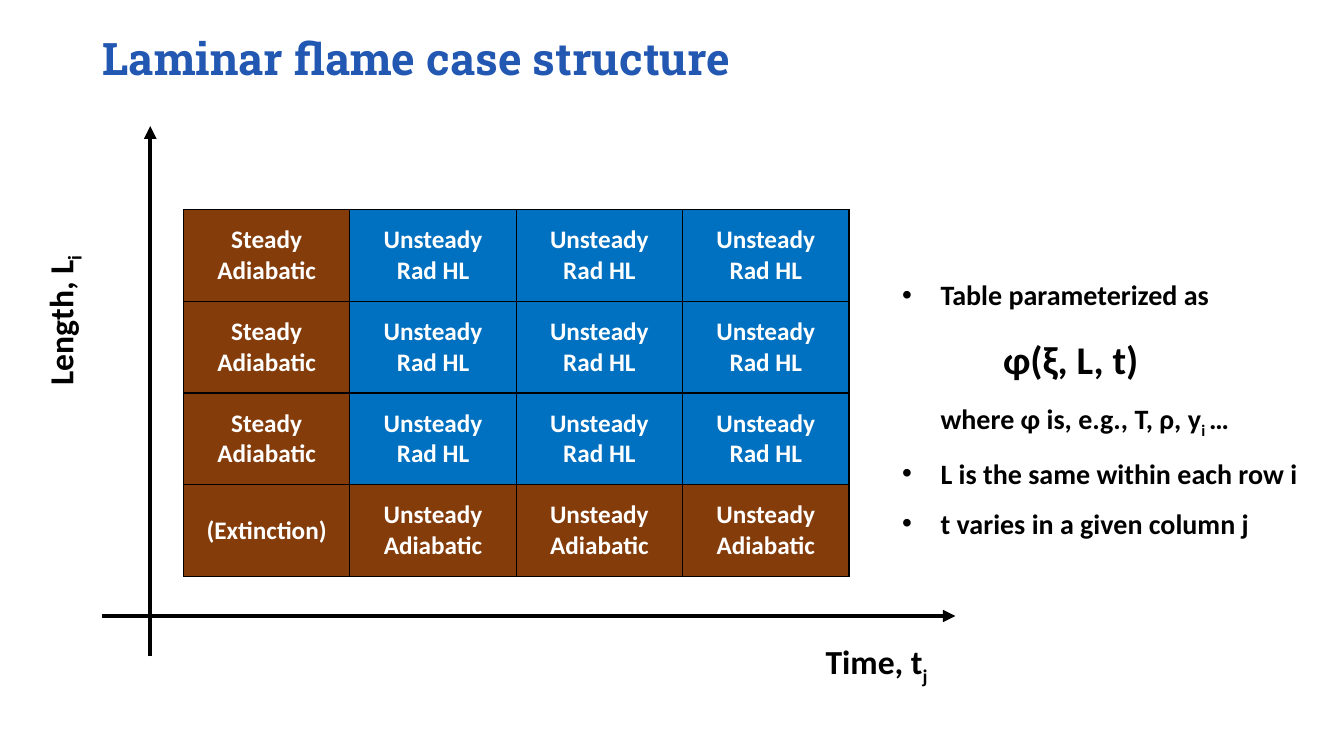
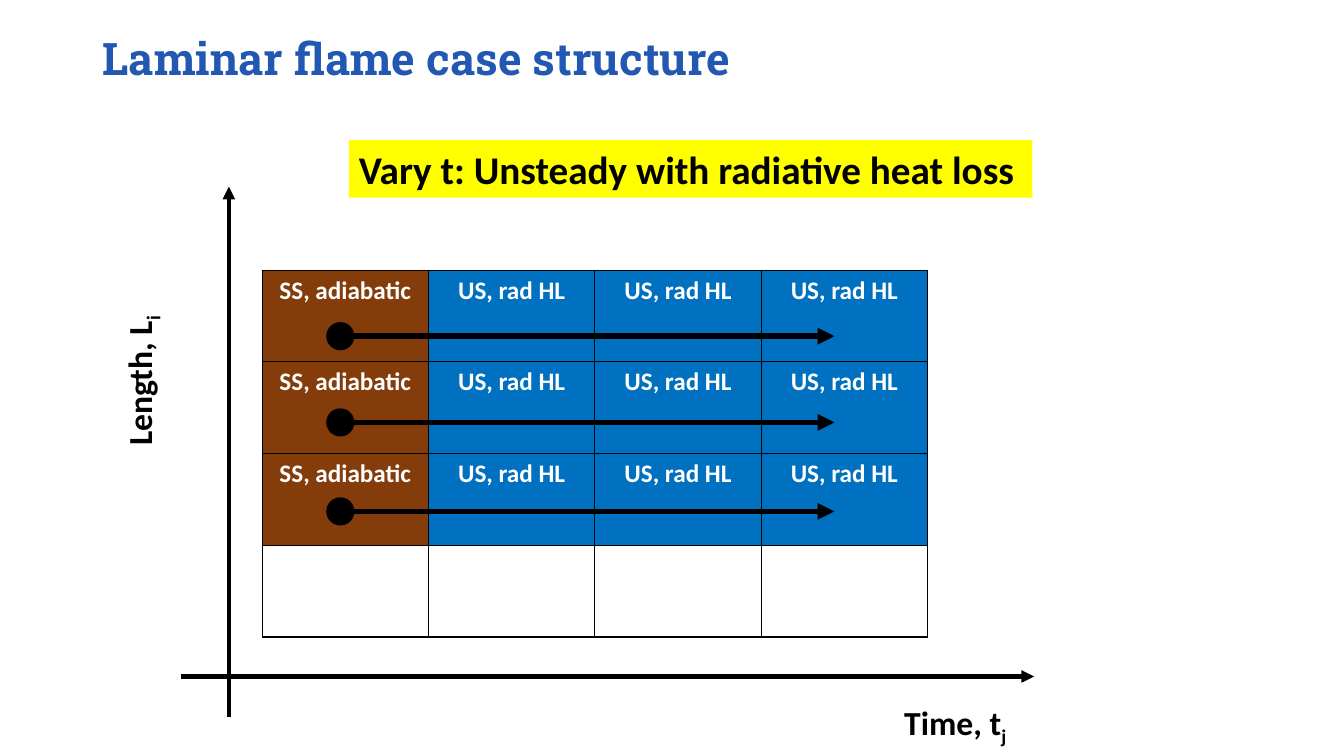
from dataclasses import dataclass

import pptx
import pptx.dml.color
import pptx.enum.shapes
import pptx.enum.text
import pptx.oxml.ns
import pptx.util
from lxml import etree

Inches, Pt = pptx.util.Inches, pptx.util.Pt
Shape = pptx.enum.shapes.MSO_SHAPE
Anchor = pptx.enum.text.MSO_ANCHOR
Align = pptx.enum.text.PP_ALIGN
qn = pptx.oxml.ns.qn

WIDTH, HEIGHT = 13.33, 7.5
COLUMN, ROW = 1.65, 0.91
COLUMNS, ROWS = 4, 4
BODY_FONT, TITLE_FONT = "Calibri", "Roboto Slab"
BLACK, WHITE, TITLE_BLUE = "000000", "FFFFFF", "2258B2"
ADIABATIC, RADIATIVE, HIGHLIGHT = "843C0B", "0070C0", "FFFF00"
INDENT = 0.38

STEADY = ("Steady\nAdiabatic", ADIABATIC)
UNSTEADY = ("Unsteady\nRad HL", RADIATIVE)
UNSTEADY_ADIABATIC = ("Unsteady\nAdiabatic", ADIABATIC)
CASE_TYPES = [[STEADY] + [UNSTEADY] * 3] * 3 + [
    [("(Extinction)", ADIABATIC)] + [UNSTEADY_ADIABATIC] * 3]
TIME_SWEEPS = [[("SS, adiabatic", ADIABATIC)] + [("US, rad HL", RADIATIVE)] * 3] * 3 + [
    [("", None)] * COLUMNS]


@dataclass
class Grid:
    """Place of the case table; positions are counted in its columns and rows."""
    left: float
    top: float

    def x(self, columns):
        return Inches(self.left + columns * COLUMN)

    def y(self, rows):
        return Inches(self.top + rows * ROW)


def color(hex_code):
    return pptx.dml.color.RGBColor.from_string(hex_code)


def set_font(paragraph, size, hex_code=BLACK, name=BODY_FONT):
    font = paragraph.font
    font.name, font.size, font.bold = name, Pt(size), True
    font.color.rgb = color(hex_code)


def add_runs(paragraph, parts):
    """Add the parts in turn, every second one as a subscript."""
    for index, part in enumerate(parts):
        run = paragraph.add_run()
        run.text = part
        if index % 2:
            run._r.get_or_add_rPr().set("baseline", "-25000")


def add_text_box(slide, left, top, width, height, wrap=True):
    box = slide.shapes.add_textbox(left, top, width, height)
    box.text_frame.word_wrap = wrap
    return box


def add_title(slide, text):
    frame = add_text_box(slide, Inches(0.92), Inches(0.3),
                         Inches(8.87), Inches(0.61)).text_frame
    frame.vertical_anchor = Anchor.MIDDLE
    title = frame.paragraphs[0]
    title.line_spacing = 0.9
    add_runs(title, [text])
    set_font(title, 32, TITLE_BLUE, TITLE_FONT)


def add_arrow(shapes, start, end, weight):
    arrow = shapes.add_connector(pptx.enum.shapes.MSO_CONNECTOR.STRAIGHT, *start, *end)
    arrow.line.color.rgb = color(BLACK)
    arrow.line.width = Pt(weight)
    etree.SubElement(arrow.line._get_or_add_ln(), qn("a:tailEnd"), type="triangle")
    etree.SubElement(arrow._element.spPr, qn("a:effectLst"))


def add_filled_shape(shapes, kind, left, top, width, height, fill):
    shape = shapes.add_shape(kind, left, top, width, height)
    shape.shadow.inherit = False
    shape.fill.solid()
    shape.fill.fore_color.rgb = color(fill)
    shape.line.fill.background()
    return shape


def add_axis_label(slide, left, top, width, parts, rotation=0):
    label = add_text_box(slide, left, top, Inches(width), Inches(0.5), wrap=False)
    label.rotation = rotation
    paragraph = label.text_frame.paragraphs[0]
    add_runs(paragraph, parts)
    set_font(paragraph, 24)


def add_axes(slide, grid):
    add_arrow(slide.shapes, (grid.x(-0.2), grid.y(4.87)), (grid.x(-0.2), grid.y(-0.91)), 3)
    add_arrow(slide.shapes, (grid.x(-0.49), grid.y(4.43)), (grid.x(4.64), grid.y(4.43)), 3)
    add_axis_label(slide, grid.x(3.8), grid.y(4.65), 1.26, ["Time, t", "j"])
    add_axis_label(slide, grid.x(-1.2), grid.y(0.92), 1.51, ["Length, L", "i"], 270)


def add_cell_borders(cell):
    properties = cell._tc.get_or_add_tcPr()
    for side in ("lnL", "lnR", "lnT", "lnB"):
        border = etree.SubElement(properties, qn(f"a:{side}"), w=str(Pt(1)))
        fill = etree.SubElement(border, qn("a:solidFill"))
        etree.SubElement(fill, qn("a:srgbClr"), val=BLACK)


def fill_cell(cell, text, fill, anchor):
    add_cell_borders(cell)
    cell.vertical_anchor = anchor
    if fill is None:
        cell.fill.background()
    else:
        cell.fill.solid()
        cell.fill.fore_color.rgb = color(fill)
    cell.text = text
    for paragraph in cell.text_frame.paragraphs:
        paragraph.alignment = Align.CENTER
        set_font(paragraph, 18, WHITE)


def add_case_table(slide, grid, cases, anchor):
    table = slide.shapes.add_table(ROWS, COLUMNS, grid.x(0), grid.y(0),
                                   Inches(COLUMNS * COLUMN), Inches(ROWS * ROW)).table
    table.first_row = table.horz_banding = False
    for column in table.columns:
        column.width = Inches(COLUMN)
    for row, row_cases in enumerate(cases):
        table.rows[row].height = Inches(ROW)
        for column, (text, fill) in enumerate(row_cases):
            fill_cell(table.cell(row, column), text, fill, anchor)


def add_note(paragraph, parts, size=20, margin=INDENT, bullet=False):
    paragraph.line_spacing = 1.5
    properties = paragraph._p.get_or_add_pPr()
    properties.set("marL", str(Inches(margin)))
    if bullet:
        properties.set("indent", str(-Inches(margin)))
        etree.SubElement(properties, qn("a:buFont"), typeface="Arial")
        etree.SubElement(properties, qn("a:buChar"), char="•")
    add_runs(paragraph, parts)
    set_font(paragraph, size)


def add_notes(slide):
    frame = add_text_box(slide, Inches(8.85), Inches(2.54),
                         Inches(WIDTH - 8.85), Inches(2.78)).text_frame
    add_note(frame.paragraphs[0], ["Table parameterized as"], bullet=True)
    add_note(frame.add_paragraph(), ["φ(ξ, L, t)"], size=28, margin=1)
    add_note(frame.add_paragraph(), ["where φ is, e.g., T, ρ, y", "i ", "…"])
    for text in ("L is the same within each row i", "t varies in a given column j"):
        add_note(frame.add_paragraph(), [text], bullet=True)


def add_banner(slide, text):
    banner = add_filled_shape(slide.shapes, Shape.RECTANGLE, Inches(3.46), Inches(1.39),
                              Inches(6.78), Inches(0.57), HIGHLIGHT)
    frame = banner.text_frame
    frame.word_wrap = False
    frame.vertical_anchor = Anchor.TOP
    paragraph = frame.paragraphs[0]
    paragraph.alignment = Align.LEFT
    add_runs(paragraph, [text])
    set_font(paragraph, 28)


def add_sweep(slide, grid, row):
    """Add a dot in the steady case and an arrow along its row."""
    shapes = slide.shapes.add_group_shape().shapes
    size, middle = Inches(0.28), grid.y(row)
    start = add_filled_shape(shapes, Shape.OVAL, grid.x(0.47) - size // 2,
                             middle - size // 2, size, size, BLACK)
    add_arrow(shapes, (start.left + size, middle), (grid.x(3.44), middle), 4)


def add_case_slide(deck, grid, cases, anchor):
    slide = deck.slides.add_slide(deck.slide_layouts[6])
    add_title(slide, "Laminar flame case structure")
    add_case_table(slide, grid, cases, anchor)
    add_axes(slide, grid)
    return slide


def main():
    deck = pptx.Presentation()
    deck.slide_width, deck.slide_height = Inches(WIDTH), Inches(HEIGHT)

    overview = add_case_slide(deck, Grid(1.82, 2.08), CASE_TYPES, Anchor.MIDDLE)
    add_notes(overview)

    sweep_grid = Grid(2.6, 2.68)
    sweeps = add_case_slide(deck, sweep_grid, TIME_SWEEPS, Anchor.TOP)
    add_banner(sweeps, "Vary t: Unsteady with radiative heat loss")
    for row in (0.72, 1.66, 2.63):
        add_sweep(sweeps, sweep_grid, row)

    deck.save("out.pptx")


if __name__ == "__main__":
    main()
